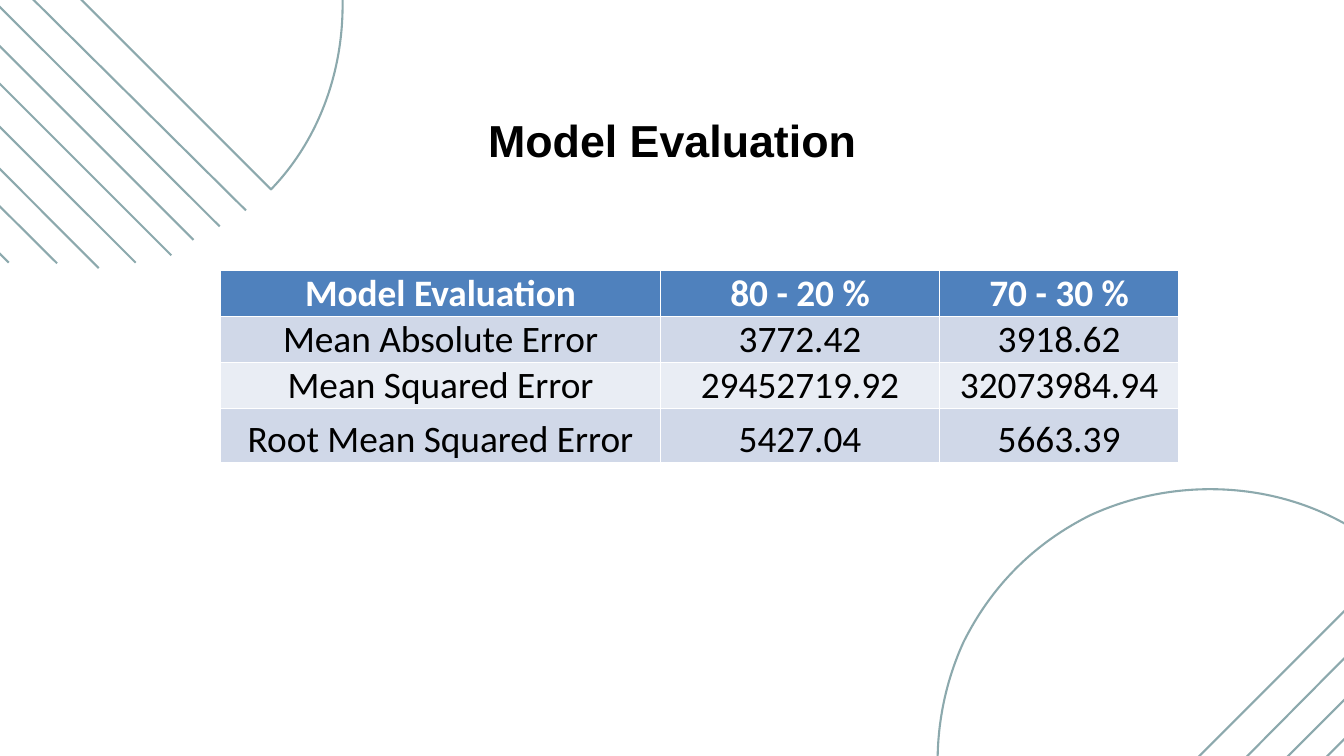
from lxml import etree
from pptx import Presentation
from pptx.dml.color import RGBColor
from pptx.enum.shapes import MSO_CONNECTOR
from pptx.enum.text import MSO_ANCHOR, PP_ALIGN
from pptx.oxml.ns import qn
from pptx.util import Pt

STRAIGHT = MSO_CONNECTOR.STRAIGHT
BOTTOM = MSO_ANCHOR.BOTTOM
MIDDLE = MSO_ANCHOR.MIDDLE
CENTER = PP_ALIGN.CENTER

SAGE = "8CA9AD"
WHITE = "FFFFFF"
BLACK = "000000"
HEADER_FILL = "4F81BD"
BAND_FILLS = ["D0D8E8", "E9EDF4"]

SCORES = [
    ["Model Evaluation", "80 - 20 %", "70 - 30 %"],
    ["Mean Absolute Error", "3772.42", "3918.62"],
    ["Mean Squared Error", "29452719.92", "32073984.94"],
    ["Root Mean Squared Error", "5427.04", "5663.39"],
]
COLUMN_WIDTHS = [471.6, 298.8, 256.3]
ROW_HEIGHTS = [41, 41, 41, 57.6]

DOME_WIDTH = 584
DOME_APEX = (0, 0)
DOME_RIGHT = [(34, 0), (66, 6), (96, 16), (209, 58), (290, 165), (292, 281)]

LEFT_STRIPES = [
    (263.5, 225.4, 408.2, 404.6), (235.4, 242.6, 397.4, 396.7),
    (207.4, 257, 383, 383), (183.6, 273.6, 369.4, 369.4),
    (145.4, 281.5, 342.7, 342.7), (105.8, 287.3, 312.5, 313.2),
    (61.2, 282.2, 265.7, 264.2), (9.4, 281.5, 206.6, 210.2),
]
RIGHT_STRIPES = [
    (1112.4, 1036.1, 404.6, 408.2), (1137.6, 1052.6, 396.7, 396.7),
    (1165.7, 1067, 383, 383.8),
]


def color(code):
    return RGBColor.from_string(code)


def write_text(frame, text, font="Calibri", size=40, ink=BLACK, bold=False):
    paragraph = frame.paragraphs[0]
    paragraph.alignment = CENTER
    run = paragraph.add_run()
    run.text = text
    run.font.name = font
    run.font.size = Pt(size)
    run.font.bold = bold
    run.font.color.rgb = color(ink)


def style_line(line):
    line.color.rgb = color(SAGE)
    line.width = Pt(2.25)


def bend_segments(shape):
    segments = list(shape._element.iter(qn("a:lnTo")))
    for first in range(0, len(segments), 3):
        curve = etree.Element(qn("a:cubicBezTo"))
        segments[first].addprevious(curve)
        for segment in segments[first:first + 3]:
            curve.append(segment[0])
            segment.getparent().remove(segment)


def add_dome(slide, left, top, rotation):
    left_half = [(-x, y) for x, y in reversed(DOME_RIGHT)]
    controls = [
        (Pt(left + DOME_WIDTH / 2 + x), Pt(top + y))
        for x, y in left_half + [DOME_APEX] + DOME_RIGHT
    ]
    builder = slide.shapes.build_freeform(*controls[0], scale=1.0)
    builder.add_line_segments(controls[1:], close=False)
    dome = builder.convert_to_shape()
    bend_segments(dome)
    etree.SubElement(next(dome._element.iter(qn("a:path"))), qn("a:close"))
    dome.rotation = rotation
    dome.shadow.inherit = False
    dome.fill.background()
    style_line(dome.line)


def add_stripes(slide, stripes, direction):
    for x, y, run, rise in stripes:
        stripe = slide.shapes.add_connector(
            STRAIGHT, Pt(x + direction * run), Pt(y - rise), Pt(x), Pt(y)
        )
        style_line(stripe.line)
        etree.SubElement(stripe._element.spPr, qn("a:effectLst"))


def add_scores(slide):
    table = slide.shapes.add_table(
        len(SCORES), len(COLUMN_WIDTHS), Pt(236.2), Pt(290.2),
        Pt(sum(COLUMN_WIDTHS)), Pt(sum(ROW_HEIGHTS)),
    ).table
    for column, width in zip(table.columns, COLUMN_WIDTHS):
        column.width = Pt(width)
    for row, height in zip(table.rows, ROW_HEIGHTS):
        row.height = Pt(height)
    for r, scores in enumerate(SCORES):
        header = r == 0
        for c, score in enumerate(scores):
            cell = table.cell(r, c)
            cell.fill.solid()
            cell.fill.fore_color.rgb = color(HEADER_FILL if header else BAND_FILLS[(r - 1) % 2])
            cell.vertical_anchor = BOTTOM
            cell.margin_left = cell.margin_right = cell.margin_top = Pt(0.5)
            cell.margin_bottom = 0
            write_text(cell.text_frame, score, ink=WHITE if header else BLACK, bold=header)


def add_title(slide, text):
    title = slide.shapes.title
    title.left, title.top = Pt(498.2), Pt(116.6)
    title.width, title.height = Pt(444.2), Pt(65.5)
    title.text_frame.vertical_anchor = MIDDLE
    title.text_frame.word_wrap = True
    write_text(title.text_frame, text, font="Arial", size=48, bold=True)


def main():
    deck = Presentation()
    deck.slide_width, deck.slide_height = Pt(1440), Pt(810)
    slide = deck.slides.add_slide(deck.slide_layouts[5])
    add_dome(slide, -108.7, -243.4, 45)
    add_stripes(slide, LEFT_STRIPES, -1)
    add_dome(slide, 896.4, 567.4, 315)
    add_stripes(slide, RIGHT_STRIPES, 1)
    add_scores(slide)
    add_title(slide, "Model Evaluation")
    deck.save("out.pptx")


if __name__ == "__main__":
    main()
